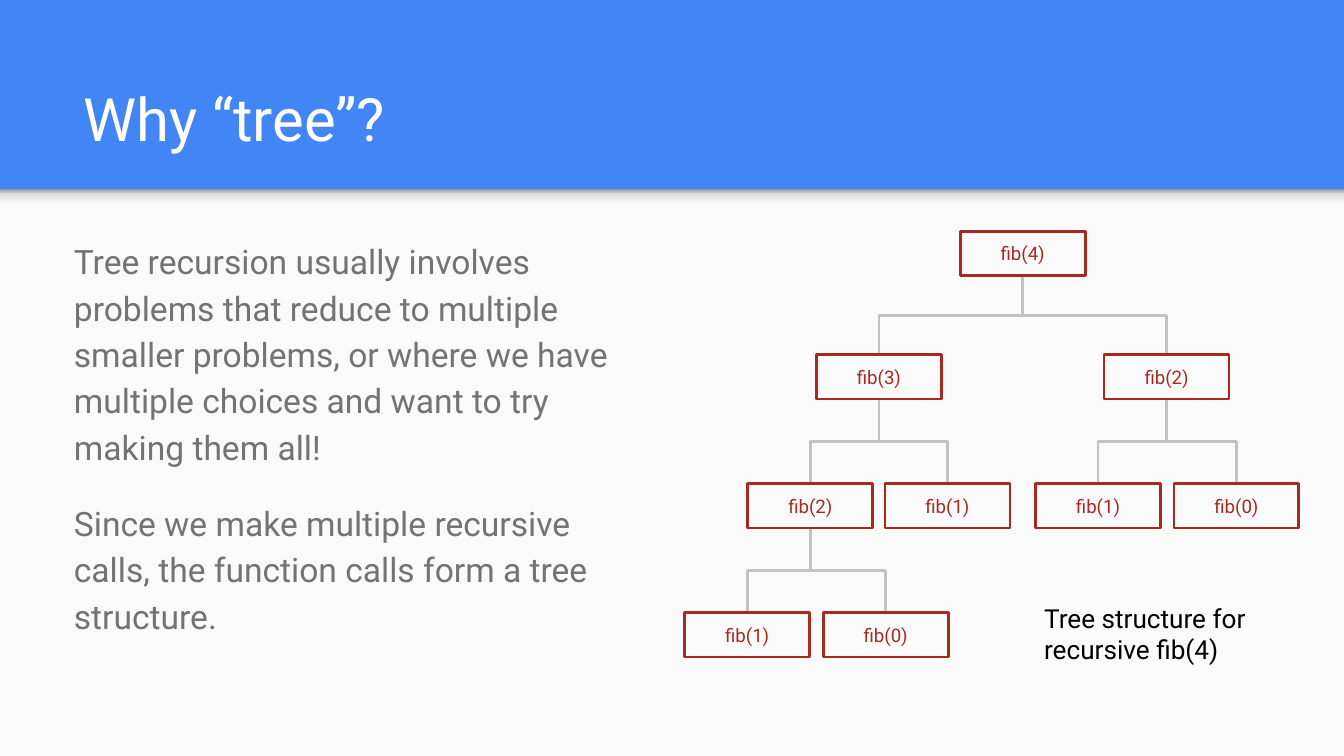
from lxml.etree import SubElement
from pptx import Presentation
from pptx.dml.color import RGBColor
from pptx.enum.shapes import MSO_CONNECTOR as Connector, MSO_SHAPE as Shape
from pptx.enum.text import MSO_ANCHOR as Anchor, MSO_AUTO_SIZE as AutoSize, PP_ALIGN as Align
from pptx.oxml.ns import qn
from pptx.util import Inches, Pt

# Content
TITLE = "Why “tree”?"
BODY = [
    "Tree recursion usually involves problems that reduce to multiple smaller "
    "problems, or where we have multiple choices and want to try making them all!",
    "Since we make multiple recursive calls, the function calls form a tree structure.",
]
CAPTION = "Tree structure for recursive fib(4)"
# Each call: label, horizontal centre, calls it makes
CALL_TREE = ("fib(4)", 7.61, [
    ("fib(3)", 6.54, [
        ("fib(2)", 6.03, [("fib(1)", 5.56, []), ("fib(0)", 6.59, [])]),
        ("fib(1)", 7.05, []),
    ]),
    ("fib(2)", 8.68, [("fib(1)", 8.17, []), ("fib(0)", 9.2, [])]),
])

# Layout and theme
SLIDE_WIDTH = 10
SLIDE_HEIGHT = SLIDE_WIDTH * 9 / 16
PANEL_TOP = 1.55
LEVEL_TOPS = [1.72, 2.64, 3.6, 4.56]
NODE_WIDTH, NODE_HEIGHT = 0.93, 0.33
THEME = {
    "font": "Roboto",
    "header": "4285F4", "panel": "FAFAFA", "title": "FFFFFF", "body": "737373",
    "node": "A72A1E", "branch": "C2C2C2", "caption": "000000",
    "shadow": [(0, "F9F9F9"), (36, "F9F9F9"), (80, "DEDEDE"), (100, "999999")],
    "title_size": 32, "body_size": 18, "caption_size": 14, "node_size": 10,
    "line": 1.5,
}


def color(name):
    return RGBColor.from_string(THEME[name])


def write_text(shape, paragraphs, style, align=Align.LEFT, anchor=Anchor.TOP,
               line_spacing=1.0, gap=0):
    frame = shape.text_frame
    frame.word_wrap = True
    frame.auto_size = AutoSize.NONE
    frame.vertical_anchor = anchor
    frame.margin_left = frame.margin_right = Inches(0.1)
    frame.margin_top = frame.margin_bottom = Inches(0.1)
    for index, text in enumerate(paragraphs):
        paragraph = frame.add_paragraph() if index else frame.paragraphs[0]
        paragraph.text = text
        paragraph.alignment = align
        paragraph.line_spacing = line_spacing
        paragraph.space_before = Pt(gap if index else 0)
        properties = paragraph._p.get_or_add_pPr()
        properties.set("marL", "0")
        properties.set("indent", "0")
        SubElement(properties, qn("a:buNone"))
        paragraph.font.name = THEME["font"]
        paragraph.font.size = Pt(THEME[style + "_size"])
        paragraph.font.color.rgb = color(style)


def place(shape, *box):
    shape.left, shape.top, shape.width, shape.height = map(Inches, box)
    return shape


def add_rectangle(slide, *box):
    shape = slide.shapes.add_shape(Shape.RECTANGLE, *map(Inches, box))
    shape.shadow.inherit = False
    shape.line.fill.background()
    return shape


def add_backdrop(slide):
    slide.background.fill.solid()
    slide.background.fill.fore_color.rgb = color("header")
    panel = add_rectangle(slide, 0, PANEL_TOP, SLIDE_WIDTH, SLIDE_HEIGHT - PANEL_TOP)
    panel.fill.solid()
    panel.fill.fore_color.rgb = color("panel")
    shadow = add_rectangle(slide, 0, 1.41, 10.01, 0.17)
    shadow.fill.gradient()
    shadow.fill.gradient_angle = 90
    stops = shadow._element.spPr.find(".//" + qn("a:gsLst"))
    for stop in list(stops):
        stops.remove(stop)
    for position, value in THEME["shadow"]:
        stop = SubElement(stops, qn("a:gs"), pos=str(position * 1000))
        SubElement(stop, qn("a:srgbClr"), val=value)
    # Behind the placeholders
    for index, shape in enumerate((panel, shadow)):
        slide.shapes._spTree.insert(2 + index, shape._element)


def add_branch(slide, parent_x, parent_y, child_x, child_y):
    """An elbow runs sideways, so it is laid flat and turned to run downwards."""
    middle_x, middle_y = (parent_x + child_x) / 2, (parent_y + child_y) / 2
    side = 1 if child_x > parent_x else -1
    reach = side * (child_y - parent_y) / 2
    rise = abs(child_x - parent_x) / 2
    ends = (middle_x + reach, middle_y - rise, middle_x - reach, middle_y + rise)
    branch = slide.shapes.add_connector(Connector.ELBOW, *map(Inches, ends))
    branch.line.color.rgb = color("branch")
    branch.line.width = Pt(THEME["line"])
    properties = branch._element.spPr
    properties.find(qn("a:xfrm")).set("rot", str((270 if side > 0 else 90) * 60000))
    SubElement(properties, qn("a:effectLst"))


def add_branches(slide, call, level=0):
    _, center, children = call
    for child in children:
        add_branch(slide, center, LEVEL_TOPS[level] + NODE_HEIGHT,
                   child[1], LEVEL_TOPS[level + 1])
        add_branches(slide, child, level + 1)


def add_nodes(slide, call, level=0):
    label, center, children = call
    node = add_rectangle(slide, center - NODE_WIDTH / 2, LEVEL_TOPS[level],
                         NODE_WIDTH, NODE_HEIGHT)
    node.fill.background()
    node.line.color.rgb = color("node")
    node.line.width = Pt(THEME["line"])
    write_text(node, [label], "node", align=Align.CENTER, anchor=Anchor.MIDDLE)
    for child in children:
        add_nodes(slide, child, level + 1)


def main():
    presentation = Presentation()
    presentation.slide_width = Inches(SLIDE_WIDTH)
    presentation.slide_height = Inches(SLIDE_HEIGHT)
    slide = presentation.slides.add_slide(presentation.slide_layouts[1])
    add_backdrop(slide)

    # Title and explanation
    title = place(slide.shapes.title, 0.52, 0.4, 8.99, 0.84)
    write_text(title, [TITLE], "title", anchor=Anchor.BOTTOM)
    body = place(slide.placeholders[1], 0.45, 1.65, 4.18, 3.41)
    write_text(body, BODY, "body", line_spacing=1.15, gap=16)

    # Call tree and its caption
    add_branches(slide, CALL_TREE)
    add_nodes(slide, CALL_TREE)
    caption = slide.shapes.add_textbox(*map(Inches, (7.67, 4.38, 2.18, 0.93)))
    write_text(caption, [CAPTION], "caption")

    presentation.save("out.pptx")


if __name__ == "__main__":
    main()
